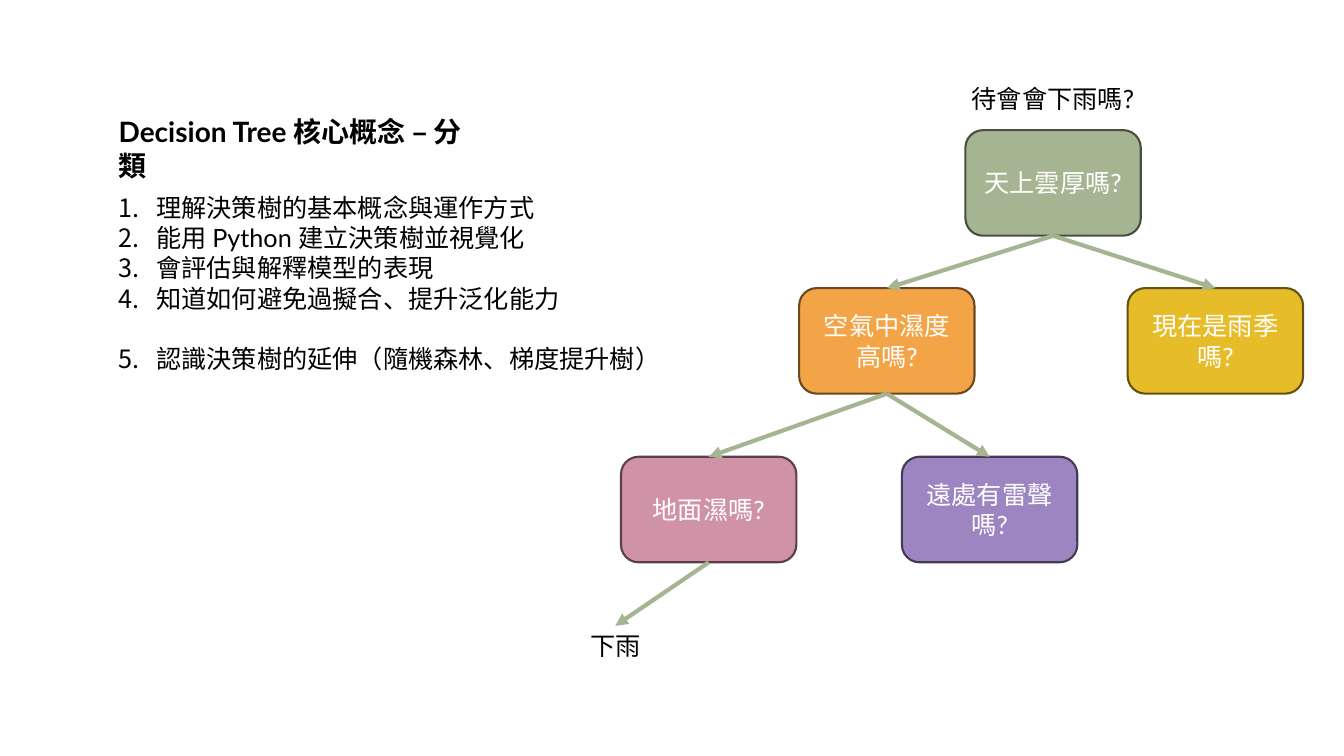
from lxml.etree import SubElement
from pptx import Presentation
from pptx.dml.color import RGBColor
from pptx.enum.shapes import MSO_CONNECTOR, MSO_SHAPE
from pptx.enum.text import MSO_ANCHOR, PP_ALIGN
from pptx.oxml.ns import qn
from pptx.util import Cm, Pt


def color(hex_string):
    return RGBColor.from_string(hex_string)


def write(shape, text, size=18, ink="000000", bold=False,
          align=PP_ALIGN.CENTER, anchor=MSO_ANCHOR.TOP):
    frame = shape.text_frame
    frame.word_wrap = True
    frame.vertical_anchor = anchor
    frame.text = text
    for paragraph in frame.paragraphs:
        paragraph.alignment = align
        font = paragraph.runs[0].font
        font.name, font.size, font.bold = "Lato", Pt(size), bold
        font.color.rgb = color(ink)
    return frame.paragraphs


presentation = Presentation()
presentation.slide_width, presentation.slide_height = Cm(33.87), Cm(19.05)
slide = presentation.slides.add_slide(presentation.slide_layouts[6])
shapes = slide.shapes

# Heading
heading = shapes.add_textbox(Cm(2.74), Cm(2.77), Cm(9.73), Cm(1.12))
write(heading, "Decision Tree 核心概念 – 分類", size=20, bold=True, align=PP_ALIGN.LEFT)

# Numbered learning goals, the last one set apart
goals = [
    "理解決策樹的基本概念與運作方式",
    "能用 Python 建立決策樹並視覺化",
    "會評估與解釋模型的表現",
    "知道如何避免過擬合、提升泛化能力",
    "認識決策樹的延伸（隨機森林、梯度提升樹）",
]
goal_list = shapes.add_textbox(Cm(2.74), Cm(4.72), Cm(16.94), Cm(4.88))
goal_paragraphs = write(goal_list, "\n".join(goals), align=PP_ALIGN.LEFT)
for paragraph in goal_paragraphs:
    properties = paragraph._p.get_or_add_pPr()
    properties.set("marL", str(Cm(0.95)))
    properties.set("indent", str(-Cm(0.95)))
    SubElement(properties, qn("a:buFont"), typeface="+mj-lt")
    SubElement(properties, qn("a:buAutoNum"), type="arabicPeriod")
goal_paragraphs[-1].space_before = Pt(21.6)

# Question above the tree and answer below it
question = shapes.add_textbox(Cm(23.5), Cm(1.98), Cm(6.07), Cm(1.02))
write(question, "待會會下雨嗎?")
answer = shapes.add_textbox(Cm(14.07), Cm(15.77), Cm(2.87), Cm(1.02))
write(answer, "下雨")

# Decision nodes: name, text, left, top, fill, outline
nodes = {"rain": answer}
for name, text, left, top, fill, outline in [
    ("cloud", "天上雲厚嗎?", 24.33, 3.28, "A5B592", "484F40"),
    ("humidity", "空氣中濕度高嗎?", 20.14, 7.26, "F3A447", "6B481F"),
    ("season", "現在是雨季嗎?", 28.42, 7.26, "E7BC29", "655212"),
    ("ground", "地面濕嗎?", 15.65, 11.51, "D092A7", "5B4049"),
    ("thunder", "遠處有雷聲嗎?", 22.73, 11.51, "9C85C0", "443A54"),
]:
    node = shapes.add_shape(MSO_SHAPE.ROUNDED_RECTANGLE,
                            Cm(left), Cm(top), Cm(4.42), Cm(2.66))
    node.shadow.inherit = False
    node.fill.solid()
    node.fill.fore_color.rgb = color(fill)
    node.line.color.rgb = color(outline)
    node.line.width = Pt(1.5)
    write(node, text, ink="FFFFFF", anchor=MSO_ANCHOR.MIDDLE)
    nodes[name] = node

# Branches from the bottom of a parent to the top of a child
for parent, child in [
    ("cloud", "humidity"),
    ("cloud", "season"),
    ("humidity", "ground"),
    ("humidity", "thunder"),
    ("ground", "rain"),
]:
    branch = shapes.add_connector(MSO_CONNECTOR.STRAIGHT, 0, 0, 0, 0)
    branch.begin_connect(nodes[parent], 2)
    branch.end_connect(nodes[child], 0)
    branch.line.color.rgb = color("A5B592")
    branch.line.width = Pt(3)
    SubElement(branch.line._get_or_add_ln(), qn("a:tailEnd"), type="triangle")
    SubElement(branch._element.spPr, qn("a:effectLst"))

presentation.save("out.pptx")
